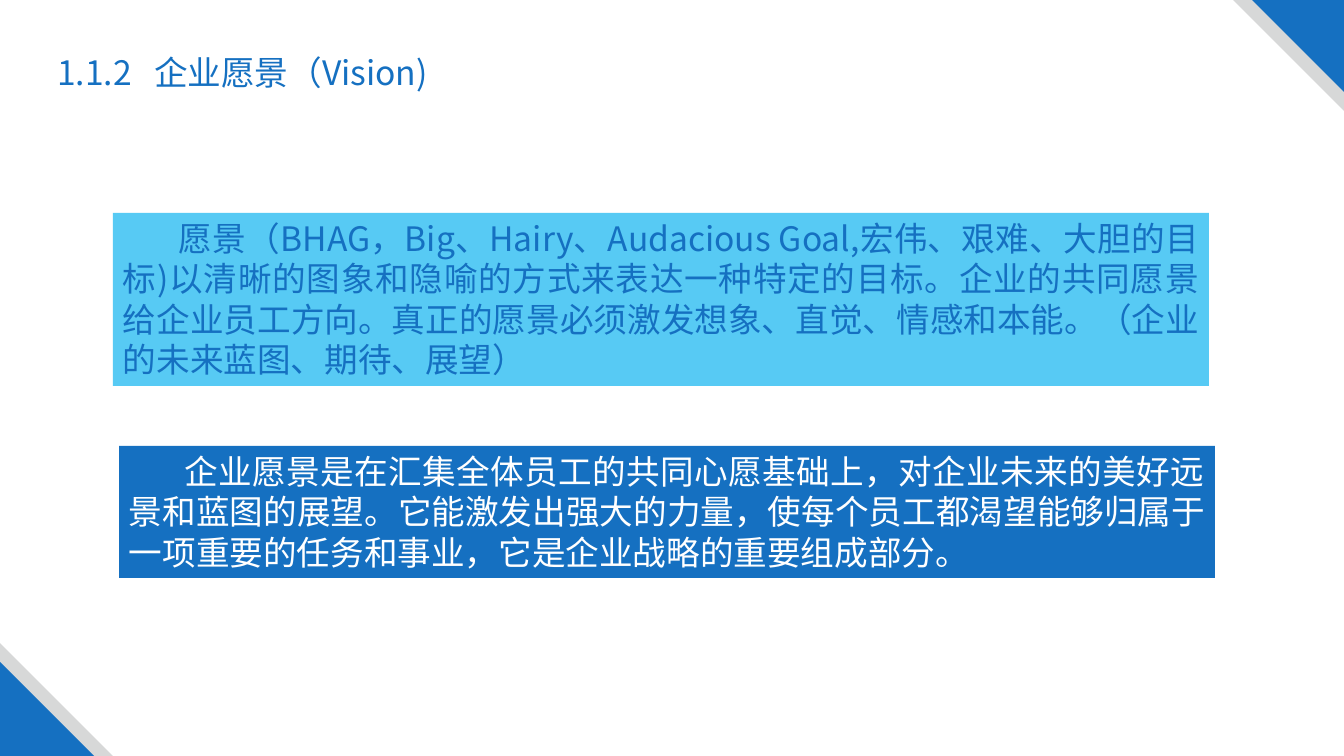
from lxml import etree
from pptx import Presentation
from pptx.dml.color import RGBColor
from pptx.enum.shapes import MSO_SHAPE
from pptx.enum.text import MSO_ANCHOR, MSO_AUTO_SIZE, PP_ALIGN
from pptx.oxml.ns import qn
from pptx.util import Emu, Pt

RECTANGLE, TRIANGLE = MSO_SHAPE.RECTANGLE, MSO_SHAPE.RIGHT_TRIANGLE
TOP, NO_AUTOFIT = MSO_ANCHOR.TOP, MSO_AUTO_SIZE.NONE
LEFT, JUSTIFY = PP_ALIGN.LEFT, PP_ALIGN.JUSTIFY
WIDTH, HEIGHT = 1344, 756
COLORS = {"blue": "1570C1", "sky": "57CAF4", "gray": "D7D8D8", "white": "FFFFFF"}


def px(length):
    return Emu(round(length * 914400 / 100.8))


class SlideBuilder:
    """Draws styled elements on one slide."""

    font_name = "Noto Sans CJK SC"
    font_size = Pt(24)

    def __init__(self, slide):
        self.slide = slide

    def color(self, name):
        return RGBColor.from_string(COLORS[name])

    def place(self, shape, box):
        shape.left, shape.top, shape.width, shape.height = map(px, box)

    def preset(self, shapes, kind, box, fill):
        shape = shapes.add_shape(kind, *map(px, box))
        shape.shadow.inherit = False
        shape.fill.solid()
        shape.fill.fore_color.rgb = self.color(fill)
        shape.line.fill.background()
        return shape

    def set_text(self, shape, text, color, align, indent=0, tab=0):
        frame = shape.text_frame
        frame.word_wrap = True
        frame.auto_size = NO_AUTOFIT
        frame.vertical_anchor = TOP
        frame.text = text
        paragraph = frame.paragraphs[0]
        paragraph.alignment = align
        properties = paragraph._p.get_or_add_pPr()
        if indent:
            properties.set("marL", "0")
            properties.set("indent", str(px(indent)))
        if tab:
            tabs = etree.SubElement(properties, qn("a:tabLst"))
            etree.SubElement(tabs, qn("a:tab"), pos=str(px(tab)), algn="l")
        font = paragraph.font
        font.name, font.size = self.font_name, self.font_size
        font.color.rgb = self.color(color)
        defaults = properties.find(qn("a:defRPr"))
        etree.SubElement(defaults, qn("a:ea"), typeface=self.font_name)

    def title(self, text, box, tab):
        heading = self.slide.shapes.title
        self.place(heading, box)
        self.set_text(heading, text, "blue", LEFT, tab=tab)

    def panel(self, text, box, fill, color):
        panel = self.preset(self.slide.shapes, RECTANGLE, box, fill)
        self.set_text(panel, text, color, JUSTIFY, indent=56)

    def corner(self, sizes, at_top_right):
        group = self.slide.shapes.add_group_shape()
        for fill, size in zip(("gray", "blue"), sizes):
            left, top = (WIDTH - size, 0) if at_top_right else (0, HEIGHT - size)
            triangle = self.preset(group.shapes, TRIANGLE, (left, top, size, size), fill)
            triangle.rotation = 180 if at_top_right else 0


def main():
    deck = Presentation()
    deck.slide_width, deck.slide_height = px(WIDTH), px(HEIGHT)
    builder = SlideBuilder(deck.slides.add_slide(deck.slide_layouts[5]))
    builder.corner((111, 92), at_top_right=True)
    builder.corner((113, 94), at_top_right=False)
    builder.title("1.1.2\t企业愿景（Vision)", (47, 47, 597, 50), tab=97)
    builder.panel(
        "企业愿景是在汇集全体员工的共同心愿基础上，对企业未来的美好远景和蓝图的展望。"
        "它能激发出强大的力量，使每个员工都渴望能够归属于一项重要的任务和事业，"
        "它是企业战略的重要组成部分。",
        (119, 446, 1096, 132), "blue", "white")
    builder.panel(
        "愿景（BHAG，Big、Hairy、Audacious Goal,宏伟、艰难、大胆的目标)"
        "以清晰的图象和隐喻的方式来表达一种特定的目标。企业的共同愿景给企业员工方向。"
        "真正的愿景必须激发想象、直觉、情感和本能。（企业的未来蓝图、期待、展望）",
        (113, 213, 1096, 173), "sky", "blue")
    deck.save("out.pptx")


if __name__ == "__main__":
    main()
